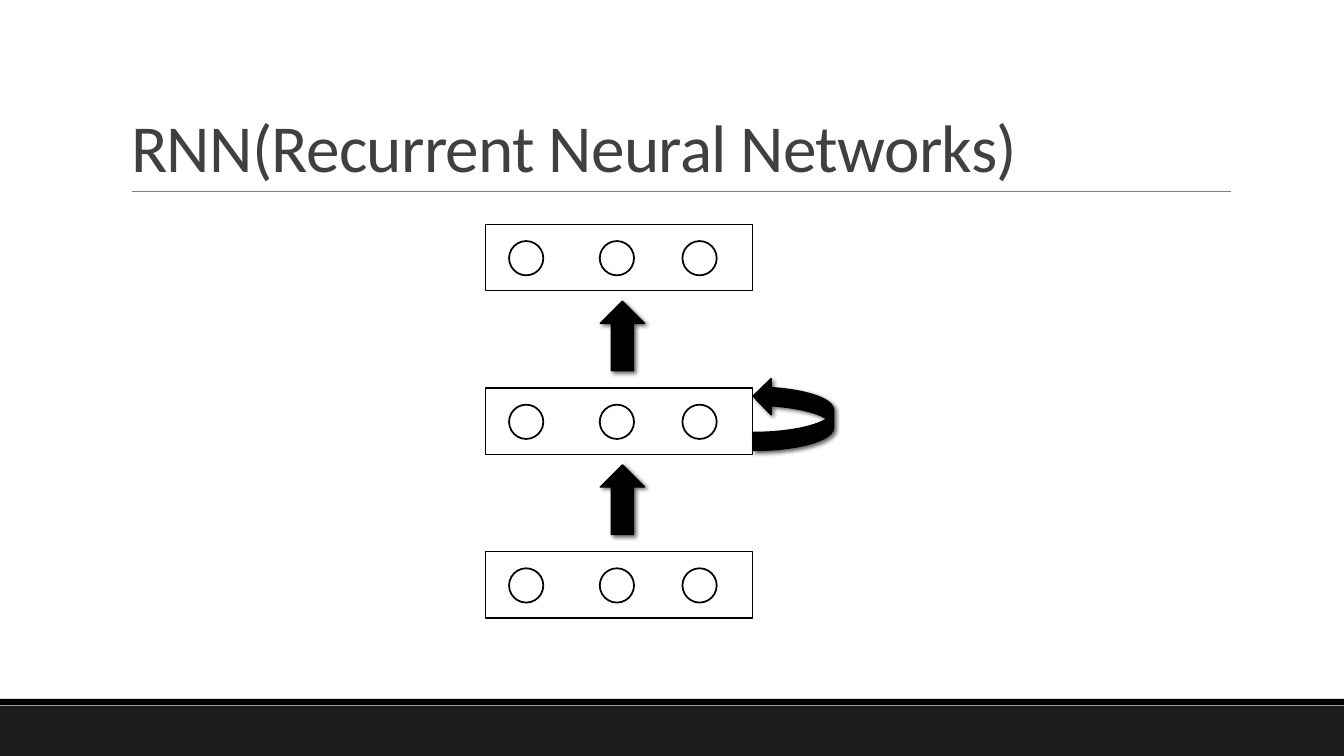
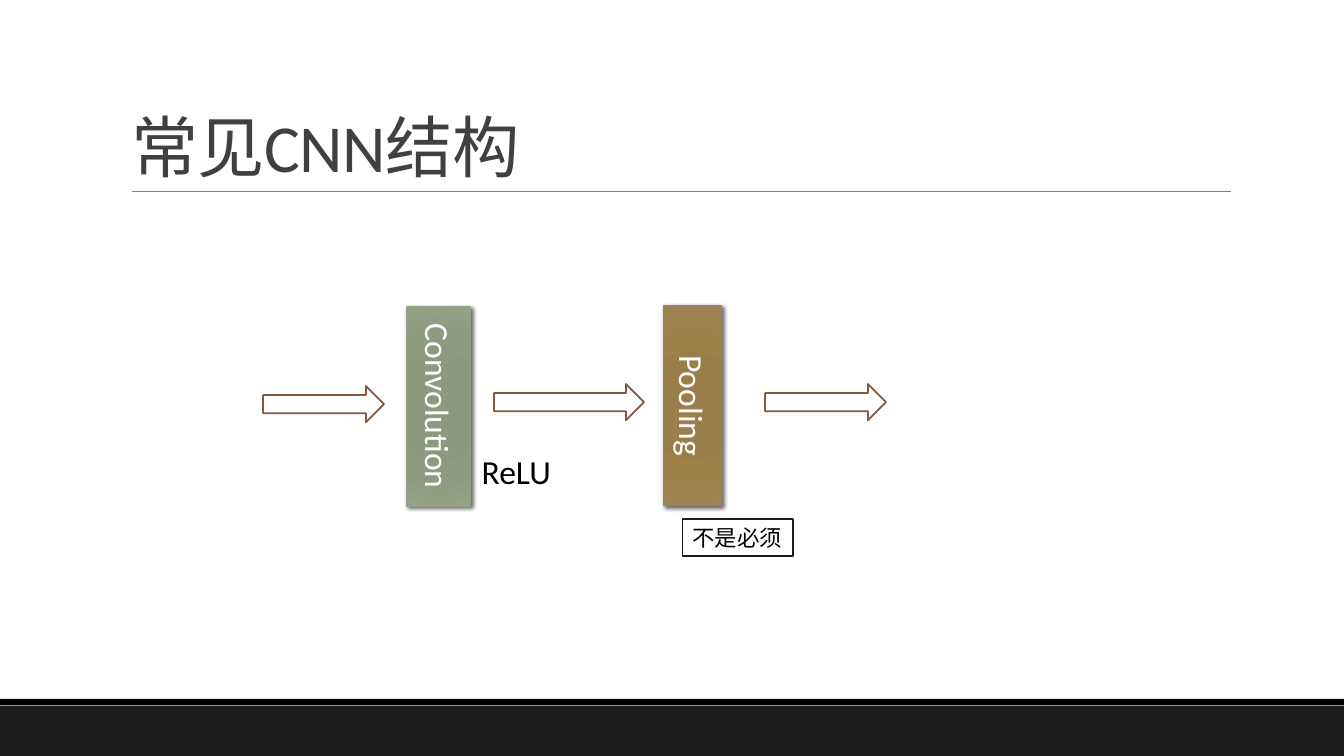
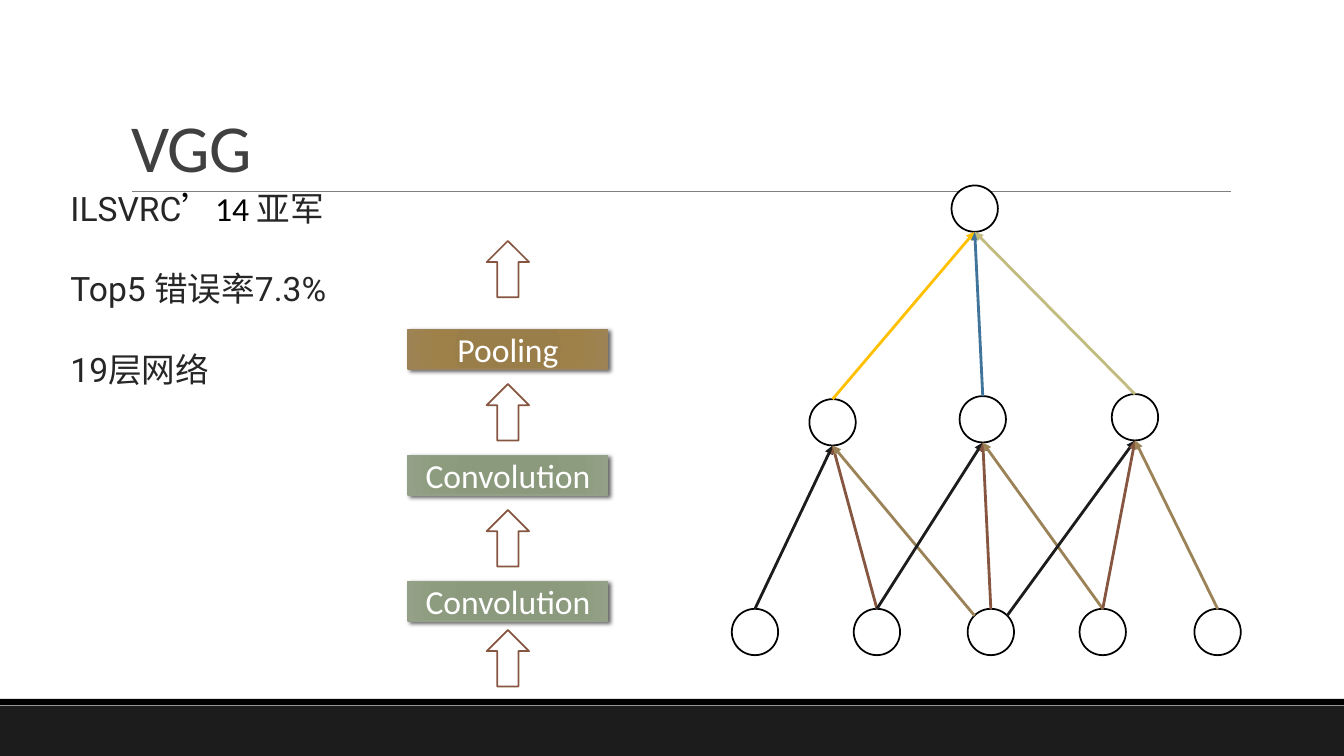
from dataclasses import dataclass
from typing import NamedTuple

from lxml.etree import SubElement
from pptx import Presentation
from pptx.dml.color import RGBColor
from pptx.enum.shapes import MSO_CONNECTOR, MSO_SHAPE
from pptx.enum.text import MSO_ANCHOR, MSO_AUTO_SIZE, PP_ALIGN
from pptx.oxml.ns import qn
from pptx.util import Emu, Inches, Pt

COLUMNS, ROWS = 80, 45
WIDTH, HEIGHT = Inches(13.33), Inches(7.5)
TITLE_ONLY = 5
COLORS = {
    "white": "FFFFFF",
    "black": "000000",
    "ink": "1C1C1C",
    "body": "262626",
    "title": "404040",
    "rule": "808080",
    "brown": "865640",
    "tan": "9B8357",
    "sage": "94A088",
    "gold": "FFC000",
    "blue": "40749B",
    "olive": "C2BC80",
}
GRADIENTS = {
    "sage": ("8A987B", "8B997D", "8D9C7E", "94A187"),
    "tan": ("9A7D48", "9A7E4A", "9E8049", "9E8454"),
}
GRADIENT_STOPS = (0, 34, 70, 100)


class Area(NamedTuple):
    column: float
    row: float
    columns: float
    rows: float


class Point(NamedTuple):
    column: float
    row: float


@dataclass(frozen=True)
class Look:
    fill: str | None = "white"
    line: str | None = "black"
    weight: float = 1.25
    shadow: bool = False
    gradient: bool = False


@dataclass(frozen=True)
class Block:
    label: str
    color: str
    area: Area
    rotation: int = 0


@dataclass(frozen=True)
class Node:
    column: float
    row: float
    size: float = 2.76

    @property
    def area(self) -> Area:
        return Area(self.column, self.row, self.size, self.size)

    @property
    def bottom(self) -> Point:
        return Point(self.column + self.size / 2, self.row + self.size)

    def upper(self, lean: int = 0) -> Point:
        return Point(
            self.column + self.size * (0.5 + 0.35 * lean),
            self.row + self.size * 0.15 * abs(lean),
        )


OUTLINED = Look()
FRAME = Look(fill=None, weight=1)
SOLID = Look(fill="black", weight=1, shadow=True)
HOLLOW = Look(line="brown")


def across(columns: float) -> Emu:
    return Emu(round(WIDTH * columns / COLUMNS))


def down(rows: float) -> Emu:
    return Emu(round(HEIGHT * rows / ROWS))


def place(area: Area) -> tuple[Emu, Emu, Emu, Emu]:
    return across(area.column), down(area.row), across(area.columns), down(area.rows)


def rgb(name: str) -> RGBColor:
    return RGBColor.from_string(COLORS[name])


def set_font(font, size: float, color: str, name: str = "Calibri") -> None:
    font.size = Pt(size)
    font.name = name
    font.color.rgb = rgb(color)


def add_gradient(shape, color: str) -> None:
    shape.fill.gradient()
    gradient = shape._element.spPr.find(qn("a:gradFill"))
    for child in list(gradient):
        gradient.remove(child)
    stops = SubElement(gradient, qn("a:gsLst"))
    for position, value in zip(GRADIENT_STOPS, GRADIENTS[color]):
        stop = SubElement(stops, qn("a:gs"), pos=str(position * 1000))
        SubElement(stop, qn("a:srgbClr"), val=value)
    circle = SubElement(gradient, qn("a:path"), path="circle")
    SubElement(circle, qn("a:fillToRect"), {side: "100000" for side in "ltrb"})


def add_shadow(shape) -> None:
    effects = shape._element.spPr.find(qn("a:effectLst"))
    shadow = SubElement(
        effects, qn("a:outerShdw"), blurRad=str(Pt(3)), dist=str(Pt(2)),
        dir=str(45 * 60000), rotWithShape="0",
    )
    color = SubElement(shadow, qn("a:srgbClr"), val=COLORS["black"])
    SubElement(color, qn("a:alpha"), val="60000")


def draw_shape(page, kind: MSO_SHAPE, area: Area, look: Look = OUTLINED):
    shape = page.shapes.add_shape(kind, *place(area))
    shape.shadow.inherit = False
    if look.gradient:
        add_gradient(shape, look.fill)
    elif look.fill:
        shape.fill.solid()
        shape.fill.fore_color.rgb = rgb(look.fill)
    else:
        shape.fill.background()
    if look.line:
        shape.line.color.rgb = rgb(look.line)
        shape.line.width = Pt(look.weight)
    else:
        shape.line.fill.background()
    if look.shadow:
        add_shadow(shape)
    return shape


def draw_line(page, start: Point, end: Point, color: str, weight: float, arrow: bool = False) -> None:
    line = page.shapes.add_connector(
        MSO_CONNECTOR.STRAIGHT,
        across(start.column), down(start.row), across(end.column), down(end.row),
    )
    line.line.color.rgb = rgb(color)
    line.line.width = Pt(weight)
    properties = line._element.spPr
    if arrow:
        SubElement(properties.find(qn("a:ln")), qn("a:tailEnd"), type="triangle")
    SubElement(properties, qn("a:effectLst"))


def draw_block(page, block: Block) -> None:
    look = Look(block.color, block.color, 1, shadow=True, gradient=True)
    shape = draw_shape(page, MSO_SHAPE.RECTANGLE, block.area, look)
    shape.rotation = block.rotation
    shape.text_frame.text = block.label
    para = shape.text_frame.paragraphs[0]
    para.alignment = PP_ALIGN.CENTER
    set_font(para.font, 24, "white")


def write_label(box, text: str, size: float) -> None:
    frame = box.text_frame
    frame.word_wrap = False
    frame.auto_size = MSO_AUTO_SIZE.SHAPE_TO_FIT_TEXT
    frame.text = text
    para = frame.paragraphs[0]
    para.alignment = PP_ALIGN.LEFT
    set_font(para.font, size, "black")


def add_page(deck, title: str):
    page = deck.slides.add_slide(deck.slide_layouts[TITLE_ONLY])
    for area, color in ((Area(0, 42, COLUMNS, 3), "ink"), (Area(0, 41.6, COLUMNS, 0.38), "black")):
        draw_shape(page, MSO_SHAPE.RECTANGLE, area, Look(fill=color, line=None))
    draw_line(page, Point(7.86, 11.4), Point(73.26, 11.4), "rule", 0.5)
    box = page.shapes.title
    box.left, box.top, box.width, box.height = place(Area(7.2, 1.86, 66, 9.54))
    frame = box.text_frame
    frame.text = title
    frame.word_wrap = True
    frame.auto_size = MSO_AUTO_SIZE.NONE
    frame.vertical_anchor = MSO_ANCHOR.BOTTOM
    para = frame.paragraphs[0]
    para.alignment = PP_ALIGN.LEFT
    para.line_spacing = 0.85
    set_font(para.font, 48, "title")
    para.runs[0]._r.get_or_add_rPr().set("spc", "-50")
    return page


def build_recurrent(deck) -> None:
    page = add_page(deck, "RNN(Recurrent Neural Networks)")
    for layer in range(3):
        top = 13.35 + 9.74 * layer
        draw_shape(page, MSO_SHAPE.RECTANGLE, Area(28.89, top, 15.9, 3.96), FRAME)
        for column in (30.3, 35.7, 40.62):
            draw_shape(page, MSO_SHAPE.OVAL, Node(column, top + 1, 2.04).area)
        if layer < 2:
            draw_shape(page, MSO_SHAPE.UP_ARROW, Area(35.73, top + 4.58, 2.64, 4.14), SOLID)
    loop = draw_shape(page, MSO_SHAPE.CURVED_LEFT_ARROW, Area(44.82, 22.5, 4.8, 4.32), SOLID)
    loop._element.spPr.find(qn("a:xfrm")).set("flipV", "1")


def build_convolution(deck) -> None:
    page = add_page(deck, "常见CNN结构")
    draw_block(page, Block("Convolution", "sage", Area(20.16, 22.26, 11.88, 3.84), 90))
    draw_block(page, Block("Pooling", "tan", Area(35.28, 22.44, 11.88, 3.42), 90))
    for column, row, columns in ((15.66, 22.98, 7.2), (29.4, 22.86, 8.94), (45.54, 22.86, 7.2)):
        draw_shape(page, MSO_SHAPE.RIGHT_ARROW, Area(column, row, columns, 2.16), HOLLOW)
    write_label(page.shapes.add_textbox(*place(Area(28.08, 26.52, 5.4, 3))), "ReLU", 24)
    remark = draw_shape(page, MSO_SHAPE.RECTANGLE, Area(40.62, 30.9, 6.6, 2.22), Look(line="ink"))
    write_label(remark, "不是必须", 16)


def draw_network(page) -> None:
    inputs = [Node(column, 36.24) for column in (43.56, 50.82, 57.6, 64.26, 71.1)]
    hidden = [Node(48.18, 23.76), Node(57.12, 23.58), Node(66.18, 23.46)]
    output = Node(56.64, 11.04)
    for node in (*inputs, *hidden, output):
        draw_shape(page, MSO_SHAPE.OVAL, node.area)
    for first, target in enumerate(hidden):
        for offset, color in enumerate(("ink", "brown", "tan")):
            source = first + offset
            lean = 1 - offset if source == 2 else 0
            draw_line(page, inputs[source].upper(lean), target.bottom, color, 2, arrow=True)
    for node, color in zip(hidden, ("gold", "blue", "olive")):
        draw_line(page, node.upper(), output.bottom, color, 2, arrow=True)


def write_facts(page) -> None:
    frame = page.shapes.add_textbox(*place(Area(3.6, 10.86, 18.9, 12.72))).text_frame
    frame.word_wrap = True
    frame.auto_size = MSO_AUTO_SIZE.SHAPE_TO_FIT_TEXT
    award = frame.paragraphs[0]
    for text, color, name in (
        ("ILSVRC", "body", "Roboto"),
        ("’14 ", "black", "Calibri"),
        ("亚军", "body", "Roboto"),
    ):
        span = award.add_run()
        span.text = text
        set_font(span.font, 24, color, name)
    for text in ("Top5 错误率7.3%", "19层网络"):
        para = frame.add_paragraph()
        para.text = text
        para.space_before = Pt(29)
        set_font(para.font, 24, "body", "Roboto")


def build_deep(deck) -> None:
    page = add_page(deck, "VGG")
    layers = (("Pooling", "tan"), ("Convolution", "sage"), ("Convolution", "sage"))
    for index, (label, color) in enumerate(layers):
        draw_block(page, Block(label, color, Area(24.3, 19.62 + 7.5 * index, 11.88, 2.34)))
    for row in (14.34, 22.86, 30.36, 37.5):
        draw_shape(page, MSO_SHAPE.UP_ARROW, Area(28.97, row, 2.52, 3.36), HOLLOW)
    draw_network(page)
    write_facts(page)


def main() -> None:
    deck = Presentation()
    deck.slide_width, deck.slide_height = WIDTH, HEIGHT
    for build in (build_recurrent, build_convolution, build_deep):
        build(deck)
    deck.save("out.pptx")


if __name__ == "__main__":
    main()
